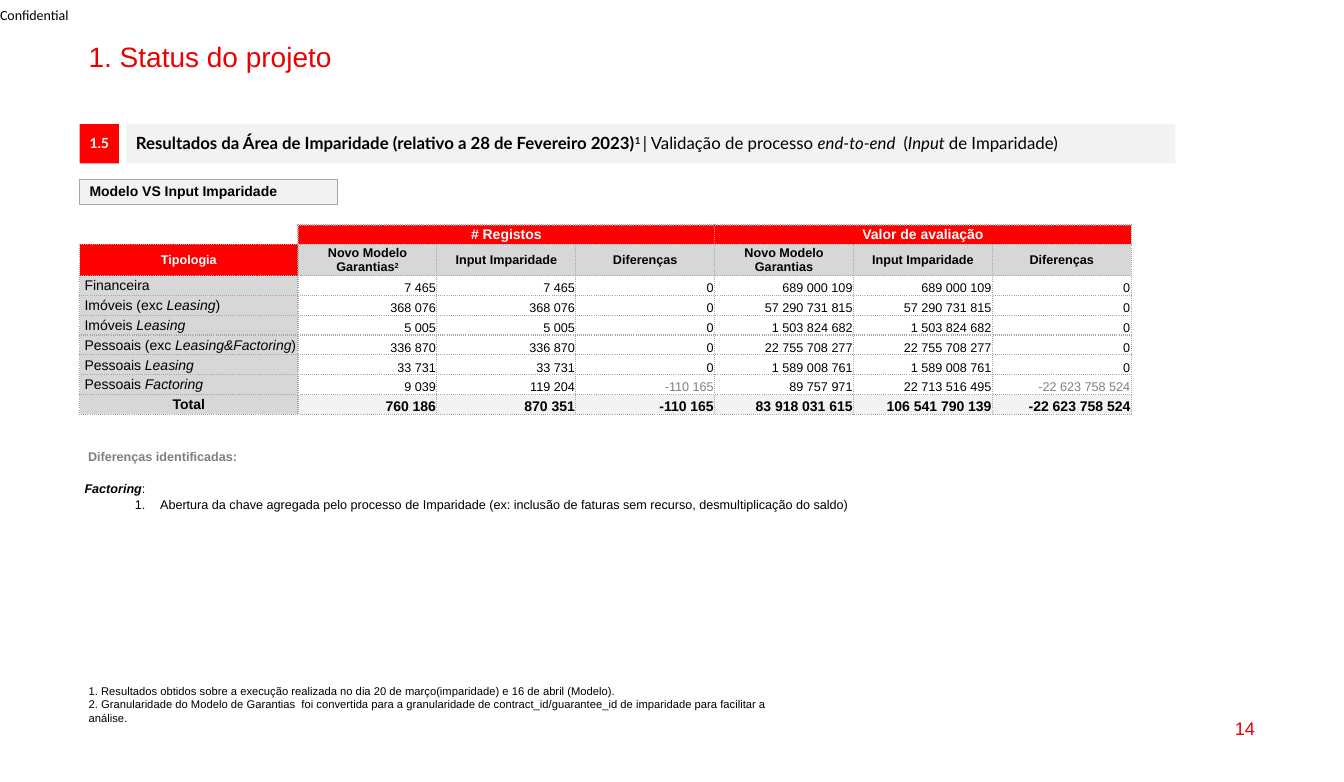
from dataclasses import dataclass

from lxml import etree
from pptx import Presentation
from pptx.dml.color import RGBColor
from pptx.enum.shapes import MSO_SHAPE
from pptx.enum.text import MSO_ANCHOR as Anchor, PP_ALIGN as Align
from pptx.oxml.ns import qn
from pptx.util import Pt


@dataclass
class Theme:
    title_red: str = "EB0000"
    red: str = "FF0000"
    black: str = "000000"
    white: str = "FFFFFF"
    pale: str = "F2F2F2"
    header: str = "D7D7D7"
    border: str = "A6A6A6"
    muted: str = "808080"
    title_size: float = 20
    page_size: float = 13
    heading_size: float = 12
    label_size: float = 10
    body_size: float = 9
    note_size: float = 8


theme = Theme()


def write(frame, text, size, color=theme.black, font="Arial", align=Align.LEFT,
          spacing=None, before=None, indent=0, hanging=0, numbered=False, bold=False):
    paragraph = frame.paragraphs[0]
    if paragraph.runs:
        paragraph = frame.add_paragraph()
    paragraph.alignment = align
    if spacing:
        paragraph.line_spacing = spacing
    if before:
        paragraph.space_before = Pt(before)
    if indent:
        properties = paragraph._p.get_or_add_pPr()
        properties.set("marL", str(Pt(indent)))
        properties.set("indent", str(Pt(-hanging)))
        if numbered:
            etree.SubElement(properties, qn("a:buAutoNum"), type="arabicPeriod")
    pieces = [(text, "b" if bold else "")] if isinstance(text, str) else text
    for words, style in pieces:
        run = paragraph.add_run()
        run.text = words
        run.font.name = font
        run.font.size = Pt(size)
        run.font.color.rgb = RGBColor.from_string(color)
        run.font.bold = "b" in style
        run.font.italic = "i" in style
        if "s" in style:
            run.font._element.set("baseline", "30000")


def add_box(left, top, width, height, fill=None, line=None, anchor=Anchor.TOP):
    if fill is None:
        shape = slide.shapes.add_textbox(Pt(left), Pt(top), Pt(width), Pt(height))
    else:
        shape = slide.shapes.add_shape(
            MSO_SHAPE.RECTANGLE, Pt(left), Pt(top), Pt(width), Pt(height))
        shape.shadow.inherit = False
        shape.fill.solid()
        shape.fill.fore_color.rgb = RGBColor.from_string(fill)
        if line:
            shape.line.color.rgb = RGBColor.from_string(line)
            shape.line.width = Pt(0.75)
        else:
            shape.line.fill.background()
    frame = shape.text_frame
    frame.word_wrap = True
    frame.vertical_anchor = anchor
    return frame


presentation = Presentation()
presentation.slide_width = Pt(960)
presentation.slide_height = Pt(558.72)
slide = presentation.slides.add_slide(presentation.slide_layouts[6])

confidential = add_box(0, 0, 71.3, 21, anchor=Anchor.MIDDLE)
confidential.word_wrap = False
confidential.margin_left = confidential.margin_right = 0
confidential.margin_top = confidential.margin_bottom = 0
write(confidential, "Confidential", theme.label_size, font="Calibri")

title = add_box(56.2, 27.4, 847.4, 24.5)
write(title, "1. Status do projeto", theme.title_size, theme.title_red, spacing=0.9)

page_number = add_box(687.6, 505.4, 216, 29.5, anchor=Anchor.MIDDLE)
write(page_number, "14", theme.page_size, theme.title_red, align=Align.RIGHT)

section_number = add_box(56.9, 88.6, 28.1, 28.1, theme.red, anchor=Anchor.MIDDLE)
write(section_number, "1.5", theme.label_size, theme.white, "Lato", Align.CENTER, 0.9, bold=True)

section = add_box(90, 88.6, 749.5, 28.1, theme.pale, anchor=Anchor.MIDDLE)
write(section, [
    ("Resultados da Área de Imparidade (relativo a 28 de Fevereiro 2023)", "b"),
    ("1 ", "bs"),
    ("| Validação de processo ", ""),
    ("end-to-end  ", "i"),
    ("(", ""),
    ("Input ", "i"),
    ("de Imparidade)", ""),
], theme.heading_size, font="Lato", spacing=0.9)

model_label = add_box(56.9, 128.2, 184.3, 18, theme.pale, theme.border, Anchor.MIDDLE)
write(model_label, "Modelo VS Input Imparidade", theme.label_size, spacing=0.9, bold=True)

groups = ["", "# Registos", "", "", "Valor de avaliação", "", ""]
headings = ["Tipologia", [("Novo Modelo Garantias", "b"), ("2", "bs")],
            "Input Imparidade", "Diferenças",
            "Novo Modelo Garantias", "Input Imparidade", "Diferenças"]
records = [
    ["Financeira", "7 465", "7 465", "0", "689 000 109", "689 000 109", "0"],
    [[("Imóveis (exc ", ""), ("Leasing", "i"), (")", "")],
     "368 076", "368 076", "0", "57 290 731 815", "57 290 731 815", "0"],
    [[("Imóveis ", ""), ("Leasing", "i")],
     "5 005", "5 005", "0", "1 503 824 682", "1 503 824 682", "0"],
    [[("Pessoais (exc ", ""), ("Leasing&Factoring", "i"), (")", "")],
     "336 870", "336 870", "0", "22 755 708 277", "22 755 708 277", "0"],
    [[("Pessoais ", ""), ("Leasing", "i")],
     "33 731", "33 731", "0", "1 589 008 761", "1 589 008 761", "0"],
    [[("Pessoais ", ""), ("Factoring", "i")],
     "9 039", "119 204", "-110 165", "89 757 971", "22 713 516 495", "-22 623 758 524"],
    ["Total", "760 186", "870 351", "-110 165",
     "83 918 031 615", "106 541 790 139", "-22 623 758 524"],
]
rows = [groups, headings] + records
total_row = len(rows) - 1

table = slide.shapes.add_table(
    len(rows), len(headings), Pt(56.9), Pt(160.8), Pt(751.2), Pt(127.3)).table
table.first_row = False
table.horz_banding = False
for index, column in enumerate(table.columns):
    column.width = Pt(99.2 if index else 156)
for index, row in enumerate(table.rows):
    row.height = Pt(14.2 if index else 13.7)
for first in (1, 4):
    table.cell(0, first).merge(table.cell(0, first + 2))

for r, values in enumerate(rows):
    for c, value in enumerate(values):
        cell = table.cell(r, c)
        cell.margin_left = cell.margin_right = cell.margin_top = Pt(0.7)
        cell.margin_bottom = 0
        is_number = r > 1 and c > 0
        cell.vertical_anchor = Anchor.BOTTOM if is_number else Anchor.MIDDLE
        align, color, bold = Align.CENTER, theme.black, True
        size = theme.label_size if r in (0, total_row) else theme.body_size
        fill = theme.header
        if r == 0 or (r, c) == (1, 0):
            color, fill = theme.white, theme.red
        elif is_number:
            align = Align.RIGHT
            bold = r == total_row
            fill = theme.pale if bold else theme.white
            if value.startswith("-") and not bold:
                color = theme.muted
        elif 1 < r < total_row:
            align, size, bold = Align.LEFT, theme.label_size, False
            cell.margin_left = Pt(3.5)
        if (r, c) == (0, 0):
            cell.fill.background()
        else:
            cell.fill.solid()
            cell.fill.fore_color.rgb = RGBColor.from_string(fill)
        if value:
            write(cell.text_frame, value, size, color, align=align, bold=bold)
        else:
            end = cell.text_frame.paragraphs[0]._p.get_or_add_endParaRPr()
            end.set("sz", str(size * 100))
        sides = ["lnR", "lnB"] if (r, c) == (0, 0) else ["lnL", "lnR", "lnT", "lnB"]
        properties = cell._tc.get_or_add_tcPr()
        for position, side in enumerate(sides):
            line = etree.Element(qn(f"a:{side}"), w=str(Pt(1)))
            solid = etree.SubElement(line, qn("a:solidFill"))
            etree.SubElement(solid, qn("a:srgbClr"), val=theme.border)
            etree.SubElement(line, qn("a:prstDash"), val="sysDot")
            properties.insert(position, line)

notes = add_box(56.2, 485.3, 503.3, 44)
write(notes, "1. Resultados obtidos sobre a execução realizada no dia 20 de março(imparidade) "
      "e 16 de abril (Modelo).", theme.note_size)
write(notes, "2. Granularidade do Modelo de Garantias  foi convertida para a granularidade de "
      "contract_id/guarantee_id de imparidade para facilitar a análise.", theme.note_size)

differences = add_box(53.3, 317.5, 759.6, 162.7)
write(differences, "Diferenças identificadas:", theme.body_size, theme.muted,
      indent=2.5, bold=True)
write(differences, [("Factoring", "bi"), (":", "")], theme.body_size, before=12)
write(differences, "Abertura da chave agregada pelo processo de Imparidade (ex: inclusão de "
      "faturas sem recurso, desmultiplicação do saldo)", theme.body_size,
      indent=54, hanging=18, numbered=True)

presentation.save("out.pptx")
